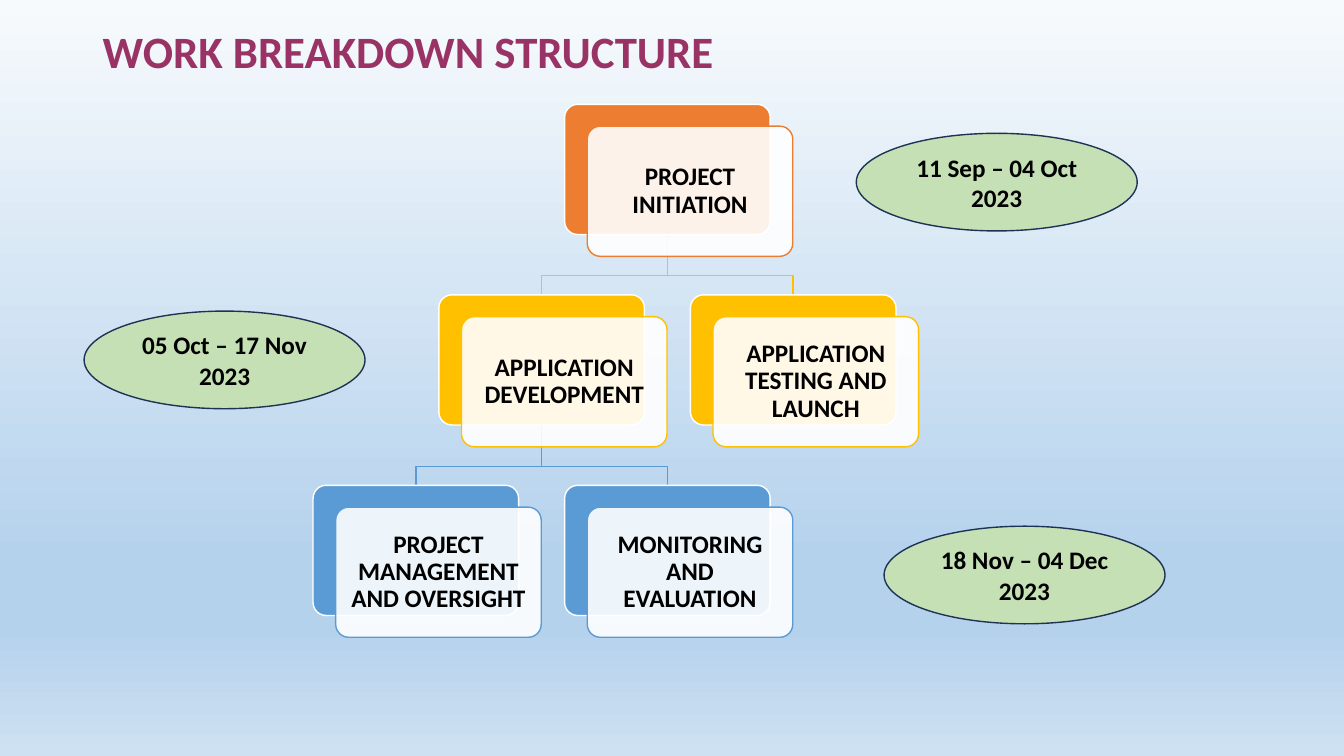
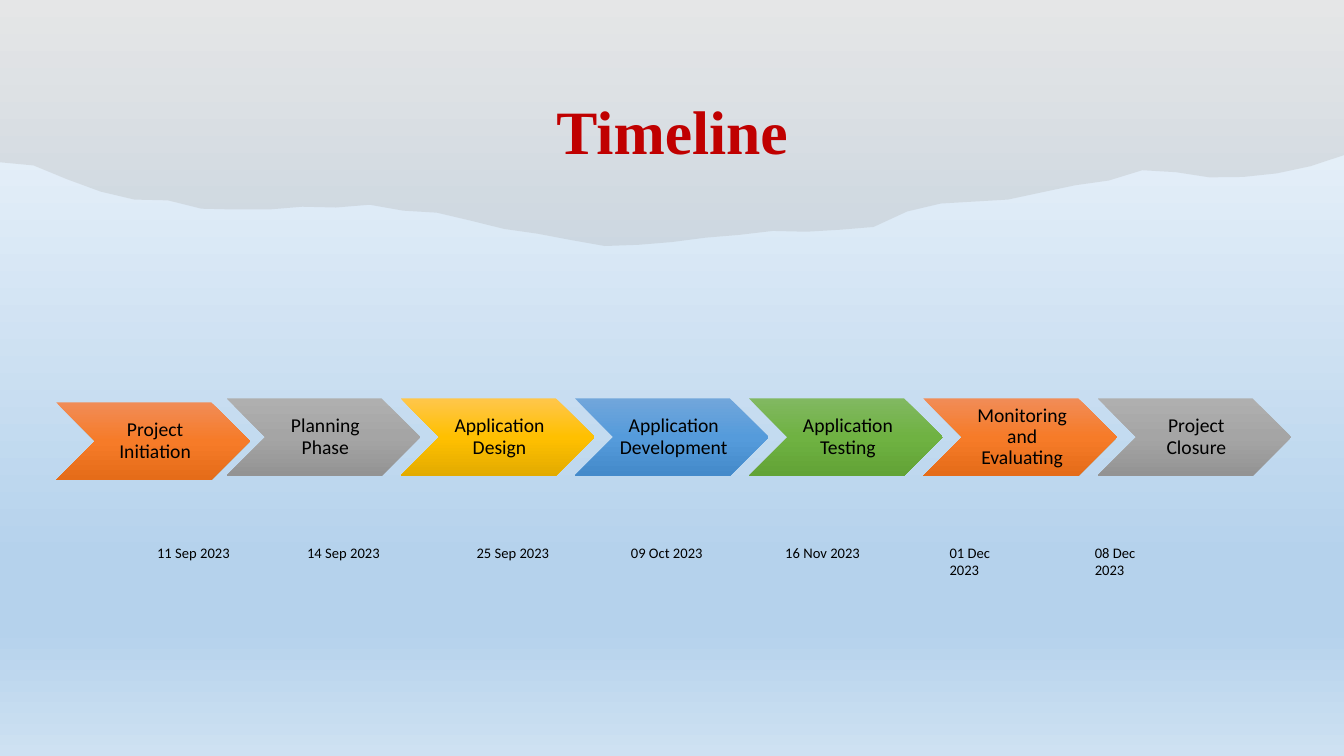
from typing import NamedTuple, Optional

from lxml import etree
from pptx import Presentation
from pptx import util as u
from pptx.dml.color import RGBColor
from pptx.enum import shapes, text
from pptx.oxml.ns import qn

SLIDE_WIDTH, SLIDE_HEIGHT = 33.87, 19.05

COLORS = {
    "title": "993366", "timeline": "C00000", "black": "000000", "white": "FFFFFF",
    "orange": "ED7D31", "gold": "FFC000", "blue": "5B9BD5",
    "period": "C5E0B4", "period_line": "1E3256", "torn_paper": "82766A",
}
GRADIENTS = {
    "background": [(0, "F7FAFD"), (74, "B5D2EC"), (83, "B5D2EC"), (100, "CEE1F2")],
    "orange": [(0, "F18C57"), (50, "F67B28"), (100, "E56C19")],
    "gray": [(0, "AFAFAF"), (50, "A5A5A5"), (100, "939393")],
    "gold": [(0, "FFC64B"), (50, "FFC000"), (100, "E3AB00")],
    "blue": [(0, "71A6DB"), (50, "559BDB"), (100, "448ACA")],
    "green": [(0, "81B861"), (50, "6FB242"), (100, "62A336")],
}


class Card(NamedTuple):
    words: str
    column: int  # half steps left or right of the root card
    row: int
    parent: Optional[int] = None  # index in CARDS


class Phase(NamedTuple):
    words: str
    gradient: str
    date: str
    date_left: float
    date_width: float = 2.6


CARD_WIDTH, CARD_HEIGHT = 5.18, 3.28
CARD_SHIFT_X, CARD_SHIFT_Y = 0.57, 0.55
ROOT_LEFT, ROOT_TOP = 14.23, 2.63
COLUMN_STEP, ROW_STEP = 3.17, 4.8
BEND_GAP = 0.48
ROW_COLORS = ["orange", "gold", "blue"]
CARDS = [
    Card("PROJECT INITIATION", 0, 0),
    Card("APPLICATION DEVELOPMENT", -1, 1, parent=0),
    Card("PROJECT MANAGEMENT AND OVERSIGHT", -2, 2, parent=1),
    Card("MONITORING AND EVALUATION", 0, 2, parent=1),
    Card("APPLICATION TESTING AND LAUNCH", 1, 1, parent=0),
]
PERIODS = [
    ("11 Sep – 04 Oct 2023", 21.58, 3.36),
    ("05 Oct – 17 Nov 2023", 2.12, 7.84),
    ("18 Nov – 04 Dec 2023", 22.28, 13.26),
]

CHEVRON_WIDTH, CHEVRON_HEIGHT = 4.88, 1.95
CHEVRON_LEFT, CHEVRON_TOP, CHEVRON_STEP = 1.32, 10.04, 4.39
FIRST_CHEVRON_NUDGE = 0.1
DATE_TOP = 13.57
PHASES = [
    Phase("Project Initiation", "orange", "11 Sep 2023", 3.71),
    Phase("Planning Phase", "gray", "14 Sep 2023", 7.49),
    Phase("Application Design", "gold", "25 Sep 2023", 11.76),
    Phase("Application Development", "blue", "09 Oct 2023", 15.65),
    Phase("Application Testing", "green", "16 Nov 2023", 19.54),
    Phase("Monitoring and Evaluating", "orange", "01 Dec 2023", 23.68, 2.3),
    Phase("Project Closure", "gray", "08 Dec 2023", 27.34, 2.3),
]
# Depth of the torn paper at equal steps across the slide
TORN_DEPTHS = [
    4.09, 4.17, 4.52, 4.83, 5.03, 5.05, 5.26, 5.28, 5.28, 5.21,
    5.23, 5.16, 5.31, 5.36, 5.56, 5.77, 5.89, 6.05, 6.2, 6.17,
    6.1, 5.99, 5.92, 5.82, 5.84, 5.79, 5.72, 5.33, 5.13, 5.08,
    5.03, 4.85, 4.67, 4.55, 4.29, 4.34, 4.47, 4.46, 4.37, 4.19, 3.91,
]


def rgb(name):
    return RGBColor.from_string(COLORS[name])


def fill_gradient(fill, element, name):
    """Fill from top to bottom; element is the XML that holds the fill."""
    fill.gradient()
    fill.gradient_angle = 270
    stop_list = element.find(".//" + qn("a:gsLst"))
    for old_stop in list(stop_list):
        stop_list.remove(old_stop)
    for position, color in GRADIENTS[name]:
        stop = etree.SubElement(stop_list, qn("a:gs"), pos=str(position * 1000))
        etree.SubElement(stop, qn("a:srgbClr"), val=color)


def write(shape, words, size, color="black", font="Calibri", bold=False,
          align=text.PP_ALIGN.CENTER, anchor=text.MSO_ANCHOR.MIDDLE,
          spacing=0.9, insets=(0.25, 0.13, 0.25, 0.13)):
    """Insets are left, top, right and bottom in centimetres."""
    frame = shape.text_frame
    frame.word_wrap = True
    frame.vertical_anchor = anchor
    (frame.margin_left, frame.margin_top,
     frame.margin_right, frame.margin_bottom) = map(u.Cm, insets)
    paragraph = frame.paragraphs[0]
    paragraph.alignment = align
    paragraph.line_spacing = spacing
    run = paragraph.add_run()
    run.text = words
    run.font.name, run.font.size, run.font.bold = font, u.Pt(size), bold
    run.font.color.rgb = rgb(color)


class Deck:
    """Holds the shared style and the slide being built."""

    def __init__(self):
        self.presentation = Presentation()
        self.presentation.slide_width = u.Cm(SLIDE_WIDTH)
        self.presentation.slide_height = u.Cm(SLIDE_HEIGHT)
        master = self.presentation.slide_master
        fill_gradient(master.background.fill, master.element, "background")
        self.slide = None

    def new_slide(self):
        blank_layout = self.presentation.slide_layouts[6]
        self.slide = self.presentation.slides.add_slide(blank_layout)

    def style(self, shape, fill=None, line=None, opacity=100):
        shape.shadow.inherit = False
        if fill:
            shape.fill.solid()
            shape.fill.fore_color.rgb = rgb(fill)
            fill_color = shape.element.find(".//" + qn("a:srgbClr"))
            if opacity < 100:
                etree.SubElement(fill_color, qn("a:alpha"), val=str(opacity * 1000))
        else:
            shape.fill.background()
        if line:
            shape.line.color.rgb = rgb(line)
            shape.line.width = u.Pt(1)
        else:
            shape.line.fill.background()
        return shape

    def shape(self, kind, left, top, width, height, **look):
        place = map(u.Cm, (left, top, width, height))
        return self.style(self.slide.shapes.add_shape(kind, *place), **look)

    def outline(self, points, close=False, **look):
        start, *others = [(u.Cm(x), u.Cm(y)) for x, y in points]
        builder = self.slide.shapes.build_freeform(*start)
        builder.add_line_segments(others, close=close)
        return self.style(builder.convert_to_shape(), **look)

    def label(self, words, left, top, width, height, **form):
        place = map(u.Cm, (left, top, width, height))
        write(self.slide.shapes.add_textbox(*place), words, **form)

    def card(self, words, left, top, color):
        """Coloured card with a nearly opaque white card in front."""
        kind = shapes.MSO_SHAPE.ROUNDED_RECTANGLE
        back = self.shape(kind, left, top, CARD_WIDTH, CARD_HEIGHT,
                          fill=color, line="white")
        front = self.shape(kind, left + CARD_SHIFT_X, top + CARD_SHIFT_Y,
                           CARD_WIDTH, CARD_HEIGHT,
                           fill="white", line=color, opacity=90)
        for shape in (back, front):
            shape.adjustments[0] = 0.1
        write(front, words, size=18, bold=True, insets=(0.18,) * 4)

    def branch(self, parent_place, child_place, color):
        """Elbow line from the bottom of a parent card to the top of a child."""
        parent_left, parent_top = parent_place
        child_left, child_top = child_place
        start_x = parent_left + CARD_WIDTH / 2
        end_x = child_left + CARD_WIDTH / 2
        bend_y = child_top - BEND_GAP
        self.outline([(start_x, parent_top + CARD_HEIGHT), (start_x, bend_y),
                      (end_x, bend_y), (end_x, child_top)], line=color)

    def period(self, words, left, top):
        oval = self.shape(shapes.MSO_SHAPE.OVAL, left, top, 7.08, 2.46,
                          fill="period", line="period_line")
        write(oval, words, size=18, bold=True, spacing=1)

    def torn_paper(self):
        step = SLIDE_WIDTH / (len(TORN_DEPTHS) - 1)
        edge = [(index * step, depth) for index, depth in enumerate(TORN_DEPTHS)]
        self.outline([(0, 0), *edge, (SLIDE_WIDTH, 0)], close=True,
                     fill="torn_paper", opacity=15)

    def chevron(self, words, left, top, gradient):
        shape = self.shape(shapes.MSO_SHAPE.CHEVRON, left, top,
                           CHEVRON_WIDTH, CHEVRON_HEIGHT)
        fill_gradient(shape.fill, shape.element, gradient)
        write(shape, words, size=14, insets=(0.15, 0.05, 0.05, 0.05))

    def date(self, words, left, width):
        self.label(words, left, DATE_TOP, width, 0.71, size=10.4, spacing=1,
                   align=text.PP_ALIGN.LEFT, anchor=text.MSO_ANCHOR.TOP)


def build_work_breakdown(deck):
    deck.new_slide()
    deck.label("WORK BREAKDOWN STRUCTURE", 2.34, 0.3, 29.21, 2.11, size=32,
               color="title", bold=True, align=text.PP_ALIGN.LEFT)
    places = [(ROOT_LEFT + card.column * COLUMN_STEP, ROOT_TOP + card.row * ROW_STEP)
              for card in CARDS]
    for card, place in zip(CARDS, places):
        if card.parent is not None:
            deck.branch(places[card.parent], place, ROW_COLORS[card.row])
    for card, place in zip(CARDS, places):
        deck.card(card.words, *place, ROW_COLORS[card.row])
    for words, left, top in PERIODS:
        deck.period(words, left, top)


def build_timeline(deck):
    deck.new_slide()
    deck.torn_paper()
    deck.label("Timeline", 3.05, 2.06, 27.79, 2.64, size=44, color="timeline",
               font="Times New Roman", bold=True)
    for index, phase in enumerate(PHASES):
        nudge = FIRST_CHEVRON_NUDGE if index == 0 else 0
        left = CHEVRON_LEFT + index * CHEVRON_STEP + nudge
        deck.chevron(phase.words, left, CHEVRON_TOP + nudge, phase.gradient)
        deck.date(phase.date, phase.date_left, phase.date_width)


def main():
    deck = Deck()
    build_work_breakdown(deck)
    build_timeline(deck)
    deck.presentation.save("out.pptx")


if __name__ == "__main__":
    main()
